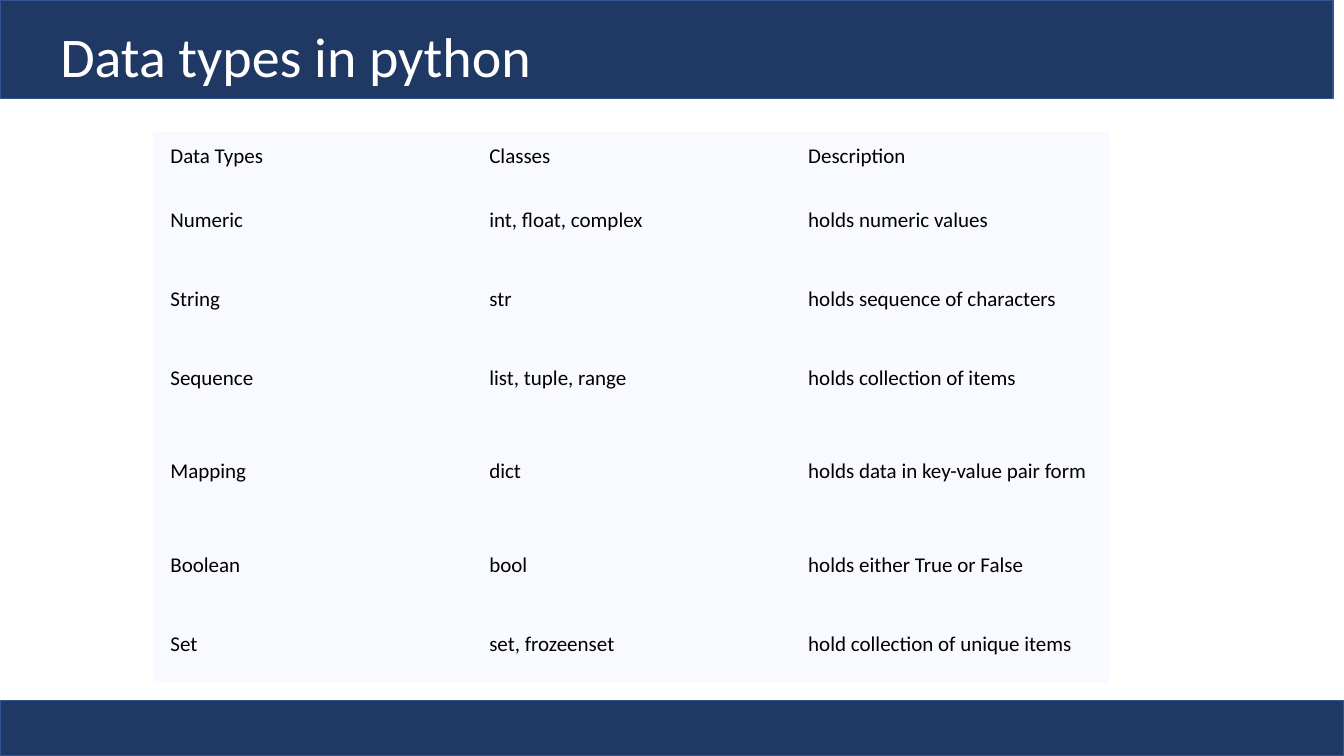
from pptx import Presentation
from pptx.dml.color import RGBColor
from pptx.enum.shapes import MSO_SHAPE
from pptx.enum.text import MSO_ANCHOR
from pptx.util import Inches, Pt

RECT = MSO_SHAPE.RECTANGLE
MIDDLE = MSO_ANCHOR.MIDDLE
NAVY = RGBColor(0x20, 0x38, 0x64)
BLUE = RGBColor(0x32, 0x54, 0x91)
PALE = RGBColor(0xF8, 0xFA, 0xFF)
WHITE = RGBColor(0xFF, 0xFF, 0xFF)
BLACK = RGBColor(0x00, 0x00, 0x00)
FONT = "Calibri"
NO_GRID_STYLE = "{2D5ABB26-0587-4C30-8999-92F81FD0307C}"

# Content
TITLE = "Data types in python"
ROWS = [
    ("Data Types", "Classes", "Description"),
    ("Numeric", "int, float, complex", "holds numeric values"),
    ("String", "str", "holds sequence of characters"),
    ("Sequence", "list, tuple, range", "holds collection of items"),
    ("Mapping", "dict", "holds data in key-value pair form"),
    ("Boolean", "bool", "holds either True or False"),
    ("Set", "set, frozeenset", "hold collection of unique items"),
]

# Layout in inches
WIDTH, HEIGHT = 13.33, 7.5
HEADER_W, HEADER_H, FOOTER_H = 13.22, 0.98, 0.55
BARS = [(HEIGHT - FOOTER_H, WIDTH, FOOTER_H), (0, HEADER_W, HEADER_H)]
TABLE_LEFT, TABLE_TOP = 1.52, 1.31
COL_W, ROW_H = 3.163, 0.78
SPECIAL_H = {"Data Types": 0.49, "Mapping": 1.08}
PAD_X, PAD_Y = 0.17, 0.08


def style(p, size, color):
    p.font.name, p.font.size, p.font.color.rgb = FONT, Pt(size), color


prs = Presentation()
prs.slide_width, prs.slide_height = Inches(WIDTH), Inches(HEIGHT)
s = prs.slides.add_slide(prs.slide_layouts[6])

# Footer and header bars
for top, width, height in BARS:
    sp = s.shapes.add_shape(RECT, 0, Inches(top), Inches(width), Inches(height))
    sp.shadow.inherit = False
    sp.fill.solid()
    sp.fill.fore_color.rgb = NAVY
    sp.line.color.rgb = BLUE
    sp.line.width = Pt(1)

# Title
tf = s.shapes.add_textbox(Inches(0.5), Inches(0.16), Inches(11.39), Inches(0.77)).text_frame
tf.word_wrap = True
tf.text = TITLE
style(tf.paragraphs[0], 40, WHITE)

# Table of data types
heights = [SPECIAL_H.get(row[0], ROW_H) for row in ROWS]
columns = len(ROWS[0])
frame = s.shapes.add_table(len(ROWS), columns, Inches(TABLE_LEFT), Inches(TABLE_TOP),
                           Inches(COL_W * columns), Inches(sum(heights)))
table = frame.table
table.first_row = table.horz_banding = False
table._tbl.tblPr[0].text = NO_GRID_STYLE
for column in table.columns:
    column.width = Inches(COL_W)
for r, (row, height) in enumerate(zip(ROWS, heights)):
    table.rows[r].height = Inches(height)
    for c, text in enumerate(row):
        cell = table.cell(r, c)
        cell.text = text
        cell.vertical_anchor = MIDDLE
        cell.margin_left = cell.margin_right = Inches(PAD_X)
        cell.margin_top = cell.margin_bottom = Inches(PAD_Y)
        cell.fill.solid()
        cell.fill.fore_color.rgb = PALE
        style(cell.text_frame.paragraphs[0], 15, BLACK)

prs.save("out.pptx")
